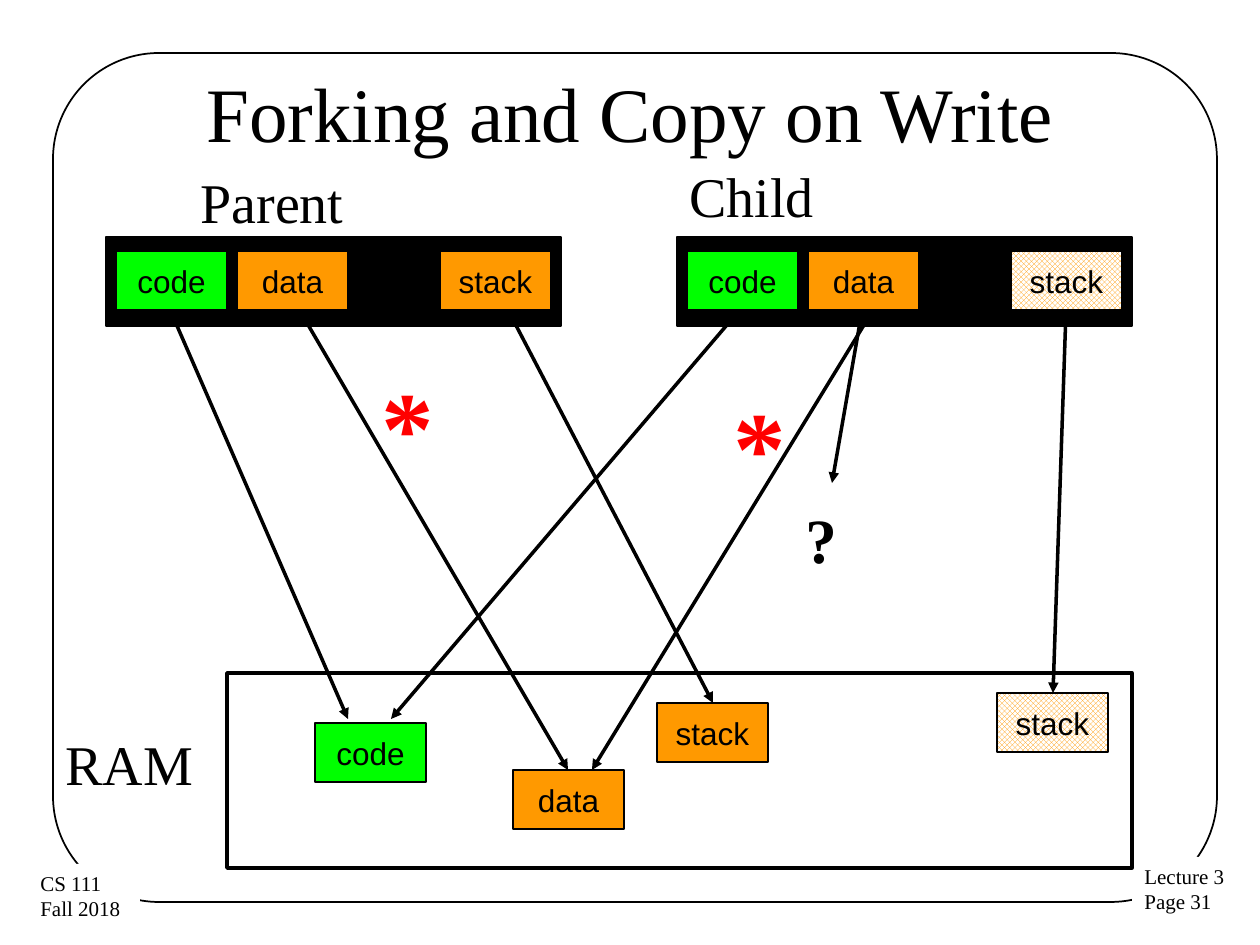
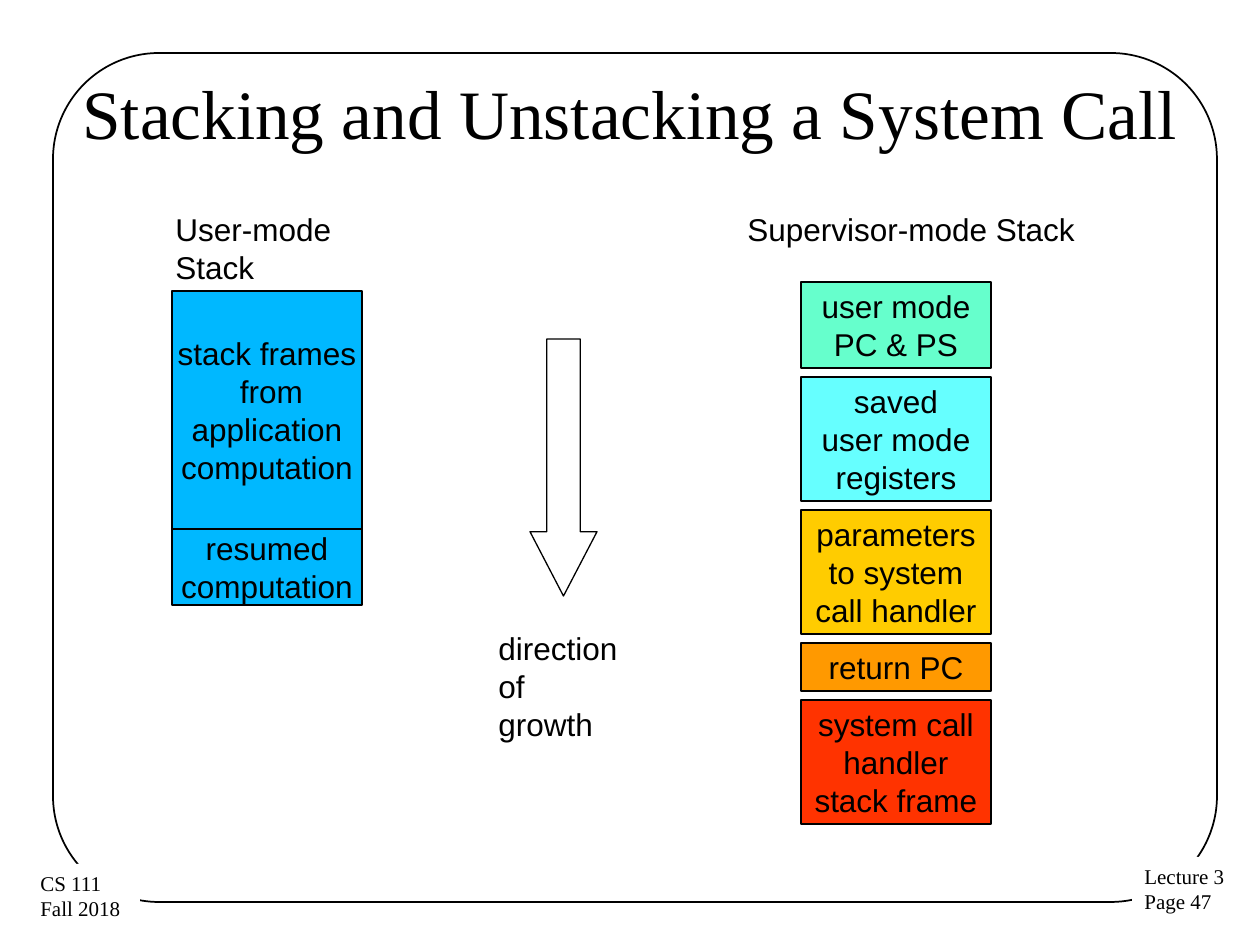
"""Build two operating-systems lecture slides: copy on write, and system call stacks."""
from typing import NamedTuple

from lxml import etree
from pptx import Presentation
from pptx.dml.color import RGBColor
from pptx.dml.fill import FillFormat
from pptx.enum.dml import MSO_PATTERN
from pptx.enum.shapes import MSO_CONNECTOR, MSO_SHAPE
from pptx.enum.text import MSO_ANCHOR, MSO_AUTO_SIZE, PP_ALIGN
from pptx.oxml.ns import qn
from pptx.shapes.autoshape import Shape
from pptx.slide import Slide
from pptx.text.text import TextFrame
from pptx.util import Emu, Pt

RECTANGLE, ROUNDED = MSO_SHAPE.RECTANGLE, MSO_SHAPE.ROUNDED_RECTANGLE
DOWN_ARROW = MSO_SHAPE.DOWN_ARROW
STRAIGHT = MSO_CONNECTOR.STRAIGHT
TRELLIS = MSO_PATTERN.TRELLIS
LEFT, CENTER = PP_ALIGN.LEFT, PP_ALIGN.CENTER
TOP, MIDDLE = MSO_ANCHOR.TOP, MSO_ANCHOR.MIDDLE
FIT_TEXT = MSO_AUTO_SIZE.SHAPE_TO_FIT_TEXT

SERIF, SANS = "Times New Roman", "Arial"
BLACK, WHITE, RED = "000000", "FFFFFF", "FF0000"
GREEN, ORANGE, BLUE = "00FF00", "FF9900", "00B8FF"
MINT, CYAN, GOLD, VERMILION = "66FFCC", "66FFFF", "FFCC00", "FF3300"

EMU_PER_PIXEL = 914400 / 126
THIN, MEDIUM, THICK = 0.75, 1, 2
SEGMENT_SIZE = (111, 59)
STACK_WIDTH = 190
ROW_HEIGHT, FRAME_PADDING, FRAME_GAP = 38, 10, 9


class Area(NamedTuple):
    """A rectangle in pixels."""
    left: int
    top: int
    width: int
    height: int


class Segment(NamedTuple):
    """A memory segment: its label, place, colour and whether it is hatched."""
    label: str
    left: int
    top: int
    color: str
    hatched: bool = False


class Caption(NamedTuple):
    """Free text with its place and format."""
    text: str
    area: Area
    size: float
    font: str = SERIF
    color: str = BLACK
    bold: bool = False


class StackFrame(NamedTuple):
    """An entry of the supervisor-mode stack."""
    text: str
    color: str


def px(pixels: float) -> Emu:
    """Turn pixels into EMU."""
    return Emu(round(pixels * EMU_PER_PIXEL))


def rgb(color: str) -> RGBColor:
    """Turn a hex string into a colour."""
    return RGBColor.from_string(color)


def write(frame: TextFrame, text: str, *, size: float, font: str = SERIF,
          color: str = BLACK, bold: bool = False, align: PP_ALIGN = LEFT,
          anchor: MSO_ANCHOR = TOP, wrap: bool = False) -> None:
    """Fill a text frame, one paragraph for each line of the text."""
    frame.text = text
    frame.word_wrap = wrap
    frame.vertical_anchor = anchor
    for para in frame.paragraphs:
        para.alignment = align
        for span in para.runs:
            span.font.size, span.font.name = Pt(size), font
            span.font.bold = bold
            span.font.color.rgb = rgb(color)


def paint(fill: FillFormat, color: str | None, hatched: bool = False) -> None:
    """Give a shape a solid fill, a hatched fill or none."""
    if color is None:
        fill.background()
    elif hatched:
        fill.patterned()
        fill.pattern = TRELLIS
        fill.fore_color.rgb, fill.back_color.rgb = rgb(color), rgb(WHITE)
    else:
        fill.solid()
        fill.fore_color.rgb = rgb(color)


def add_box(page: Slide, area: Area, *, kind: MSO_SHAPE = RECTANGLE,
            fill: str | None = None, hatched: bool = False,
            line: float | None = THIN) -> Shape:
    """Add a preset shape with a black outline, or without one."""
    box = page.shapes.add_shape(kind, *map(px, area))
    box.shadow.inherit = False
    paint(box.fill, fill, hatched)
    if line is None:
        box.line.fill.background()
    else:
        box.line.color.rgb = rgb(BLACK)
        box.line.width = Pt(line)
    return box


def add_label_box(page: Slide, area: Area, text: str, color: str,
                  hatched: bool = False) -> None:
    """Add a filled box with a centred label."""
    box = add_box(page, area, fill=color, hatched=hatched)
    write(box.text_frame, text, size=18, font=SANS, align=CENTER, anchor=MIDDLE)


def add_segment(page: Slide, segment: Segment) -> None:
    """Draw a memory segment."""
    area = Area(segment.left, segment.top, *SEGMENT_SIZE)
    add_label_box(page, area, segment.label, segment.color, segment.hatched)


def add_caption(page: Slide, caption: Caption) -> None:
    """Add free text that does not wrap."""
    box = page.shapes.add_textbox(*map(px, caption.area))
    write(box.text_frame, caption.text, size=caption.size, font=caption.font,
          color=caption.color, bold=caption.bold)
    box.text_frame.auto_size = FIT_TEXT


def add_arrow(page: Slide, start: tuple[int, int], end: tuple[int, int]) -> None:
    """Draw a straight line with an arrowhead at its end."""
    arrow = page.shapes.add_connector(STRAIGHT, *map(px, start + end))
    arrow.line.color.rgb = rgb(BLACK)
    arrow.line.width = Pt(THICK)
    properties = arrow.line._get_or_add_ln()
    etree.SubElement(properties, qn("a:tailEnd"), type="triangle")
    etree.SubElement(arrow._element.spPr, qn("a:effectLst"))


def add_footer(page: Slide, area: Area, text: str) -> None:
    """Add a white corner note that interrupts the page frame."""
    box = add_box(page, area, fill=WHITE, line=None)
    write(box.text_frame, text, size=12)
    box.text_frame.auto_size = FIT_TEXT


def add_page(deck: Presentation, title: str, number: int,
             title_size: float = 44) -> Slide:
    """Add a slide with the shared frame, footers and title."""
    page = deck.slides.add_slide(deck.slide_layouts[5])
    frame = add_box(page, Area(53, 53, 1164, 849), kind=ROUNDED, line=MEDIUM)
    frame.adjustments[0] = 0.125
    add_footer(page, Area(1132, 857, 107, 64), f"Lecture 3\nPage {number}")
    add_footer(page, Area(28, 864, 112, 64), "CS 111\nFall 2018")
    heading = page.shapes.title
    heading.left, heading.top, heading.width, heading.height = map(
        px, Area(63, 33, 1134, 158))
    write(heading.text_frame, title, size=title_size, align=CENTER,
          anchor=MIDDLE, wrap=True)
    return page


def add_process(page: Slide, left: int, own_stack: bool) -> None:
    """Draw the address space of a process, its own stack hatched."""
    top = 237
    add_box(page, Area(left, top, 455, 89), fill=BLACK)
    for segment in (Segment("code", 10, 14, GREEN),
                    Segment("data", 131, 14, ORANGE),
                    Segment("stack", 334, 14, ORANGE, own_stack)):
        add_segment(page, segment._replace(left=left + segment.left,
                                           top=top + segment.top))


def build_fork_page(deck: Presentation) -> None:
    """Show parent and child sharing memory until one of them writes."""
    page = add_page(deck, "Forking and Copy on Write", 31)
    add_process(page, 106, own_stack=False)
    add_process(page, 677, own_stack=True)
    add_box(page, Area(227, 673, 905, 195), line=THICK)
    for segment in (Segment("code", 315, 723, GREEN),
                    Segment("data", 513, 770, ORANGE),
                    Segment("stack", 997, 693, ORANGE, True),
                    Segment("stack", 657, 703, ORANGE)):
        add_segment(page, segment)
    for start, end in (((171, 312), (348, 719)),
                       ((738, 312), (391, 719)),
                       ((508, 310), (713, 703)),
                       ((1066, 311), (1053, 693)),
                       ((300, 311), (568, 770)),
                       ((862, 311), (832, 483)),
                       ((864, 325), (592, 770))):
        add_arrow(page, start, end)
    for caption in (Caption("Parent", Area(188, 161, 170, 81), 32),
                    Caption("Child", Area(677, 155, 151, 81), 32),
                    Caption("RAM", Area(53, 723, 155, 81), 32),
                    Caption("?", Area(793, 494, 57, 89), 36, bold=True),
                    Caption("*", Area(721, 374, 78, 140), 60, color=RED, bold=True),
                    Caption("*", Area(369, 354, 78, 140), 60, color=RED, bold=True)):
        add_caption(page, caption)


def build_stack_page(deck: Presentation) -> None:
    """Compare the user-mode and supervisor-mode stacks."""
    page = add_page(deck, "Stacking and Unstacking a System Call", 47, 39.6)
    add_label_box(page, Area(172, 291, STACK_WIDTH, 238),
                  "stack frames\n from\napplication\ncomputation", BLUE)
    add_label_box(page, Area(172, 529, STACK_WIDTH, 76),
                  "resumed\ncomputation", BLUE)
    growth = add_box(page, Area(530, 339, 67, 257), kind=DOWN_ARROW)
    growth.adjustments[0], growth.adjustments[1] = 0.5, 0.96
    for caption in (
            Caption("User-mode Stack", Area(163, 204, 268, 49), 18, SANS),
            Caption("Supervisor-mode Stack", Area(735, 204, 353, 49), 18, SANS),
            Caption("direction\nof growth", Area(486, 623, 154, 88), 18, SANS)):
        add_caption(page, caption)
    top = 282
    for entry in (StackFrame("user mode\nPC & PS", MINT),
                  StackFrame("saved\nuser mode\nregisters", CYAN),
                  StackFrame("parameters\nto system\ncall handler", GOLD),
                  StackFrame("return PC", ORANGE),
                  StackFrame("system call\nhandler\nstack frame", VERMILION)):
        rows = len(entry.text.splitlines())
        height = rows * ROW_HEIGHT + FRAME_PADDING
        add_label_box(page, Area(801, top, STACK_WIDTH, height),
                      entry.text, entry.color)
        top += height + FRAME_GAP


def main() -> None:
    """Build and save the deck."""
    deck = Presentation()
    deck.slide_width, deck.slide_height = px(1260), px(945)
    build_fork_page(deck)
    build_stack_page(deck)
    deck.save("out.pptx")


main()
